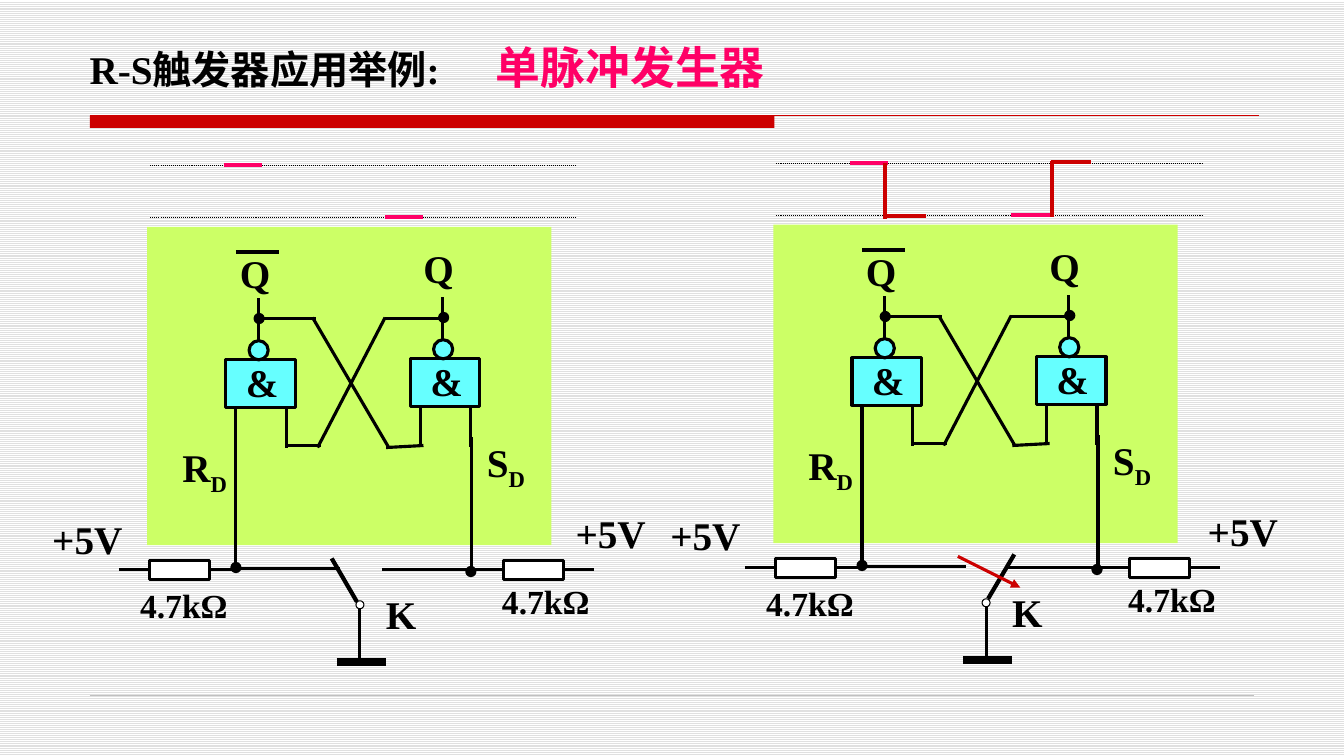
from dataclasses import dataclass
from typing import Any

from lxml import etree
from pptx import Presentation
from pptx.dml.color import RGBColor
from pptx.enum.dml import MSO_LINE, MSO_PATTERN
from pptx.enum.shapes import MSO_CONNECTOR, MSO_SHAPE
from pptx.oxml.ns import qn
from pptx.util import Emu, Pt

STRAIGHT = MSO_CONNECTOR.STRAIGHT
RECT = MSO_SHAPE.RECTANGLE
OVAL = MSO_SHAPE.OVAL
DOTTED = MSO_LINE.ROUND_DOT
STRIPES = MSO_PATTERN.LIGHT_HORIZONTAL

BLACK = RGBColor(0x00, 0x00, 0x00)
WHITE = RGBColor(0xFF, 0xFF, 0xFF)
STRIPE_GREY = RGBColor(0xE0, 0xE0, 0xE0)
RULE_GREY = RGBColor(0xC0, 0xC0, 0xC0)
RED = RGBColor(0xCC, 0x00, 0x00)
PINK = RGBColor(0xFF, 0x00, 0x66)
GREEN = RGBColor(0xCC, 0xFF, 0x66)
CYAN = RGBColor(0x66, 0xFF, 0xFF)

FONT = "Times New Roman"
DOT = 8  # diameter of junctions and of the switch pivot
LOW, HIGH = -9, -61  # signal levels above the circuit panel


def px(n):
    """100 px to the inch."""
    return Emu(n * 9144)


@dataclass
class Region:
    """Draws on a slide relative to the corner (left, top)."""
    slide: Any
    left: int = 0
    top: int = 0

    def at(self, x, y):
        return px(self.left + x), px(self.top + y)

    def line(self, x1, y1, x2, y2, color=BLACK, width=2.25):
        line = self.slide.shapes.add_connector(
            STRAIGHT, *self.at(x1, y1), *self.at(x2, y2))
        line.line.color.rgb = color
        line.line.width = Pt(width)
        etree.SubElement(line._element.spPr, qn("a:effectLst"))
        return line

    def shape(self, kind, x, y, w, h, fill, outline=2.25):
        shape = self.slide.shapes.add_shape(kind, *self.at(x, y), px(w), px(h))
        shape.shadow.inherit = False
        shape.fill.solid()
        shape.fill.fore_color.rgb = fill
        if outline:
            shape.line.color.rgb = BLACK
            shape.line.width = Pt(outline)
        else:
            shape.line.fill.background()

    def dot(self, x, y, fill=BLACK, outline=2.25):
        self.shape(OVAL, x, y, DOT, DOT, fill, outline)

    def label(self, text, x, y, w, h=57, size=28, subscript=None):
        box = self.slide.shapes.add_textbox(*self.at(x, y), px(w), px(h))
        box.text_frame.word_wrap = True
        paragraph = box.text_frame.paragraphs[0]
        paragraph.font.name = FONT
        paragraph.font.size = Pt(size)
        paragraph.font.bold = True
        paragraph.font.color.rgb = BLACK
        paragraph.add_run().text = text
        if subscript:
            sub = paragraph.add_run()
            sub.text = subscript
            sub.font._element.set("baseline", "-25000")


def draw_frame(slide):
    page = Region(slide)
    background = slide.background.fill
    background.patterned()
    background.pattern = STRIPES
    background.fore_color.rgb = STRIPE_GREY
    background.back_color.rgb = WHITE

    # Heading rule and footer rule
    page.shape(RECT, 89, 115, 679, 12, RED, outline=0)
    page.line(89, 115, 1249, 115, RED, 0.75)
    page.line(89, 690, 1244, 690, RULE_GREY, 0.25)


def draw_title(slide, x, y, w, h):
    box = slide.shapes.add_textbox(px(x), px(y), px(w), px(h))
    box.text_frame.word_wrap = True
    title = box.text_frame.paragraphs[0]
    tabs = etree.SubElement(title._p.get_or_add_pPr(), qn("a:tabLst"))
    etree.SubElement(tabs, qn("a:tab"), pos=str(px(403)), algn="l")
    title.font.name = FONT
    title.font.bold = True
    for text, size, color in (("R-S触发器应用举例:\t", 28, BLACK),
                              ("单脉冲发生器", 32, PINK)):
        run = title.add_run()
        run.text = text
        run.font.size = Pt(size)
        run.font.color.rgb = color


def draw_gate(slide, left, top):
    gate = Region(slide, left, top)
    gate.shape(RECT, 0, 0, 69, 47, CYAN)
    gate.line(32, -20, 32, -61)
    gate.shape(OVAL, 23, -19, 19, 19, CYAN)
    gate.dot(29, -45)
    for input_x in (10, 60):
        gate.line(input_x, 47, input_x, 87)
    gate.label("&", 10, -6, 51)


def draw_resistor(slide, left, top):
    resistor = Region(slide, left, top)
    resistor.shape(RECT, 0, 0, 60, 19, WHITE)
    for lead_x in (-30, 60):
        resistor.line(lead_x, 9, lead_x + 30, 9)


def draw_circuit(slide, left, top, supplies):
    circuit = Region(slide, left, top)
    circuit.shape(RECT, 0, 0, 401, 316, GREEN, outline=0)

    # Gates and their cross coupling
    draw_gate(slide, left + 78, top + 132)
    draw_gate(slide, left + 261, top + 131)
    for wire in ((110, 91, 167, 91), (164, 90, 239, 218), (237, 219, 274, 217),
                 (292, 91, 236, 91), (236, 90, 169, 219), (172, 217, 139, 217)):
        circuit.line(*wire)

    # Outputs and inputs
    circuit.line(88, 25, 131, 25)
    circuit.label("Q", 82, 17, 68)
    circuit.label("Q", 264, 12, 68)
    circuit.label("R", 25, 210, 85, subscript="D")
    circuit.label("S", 327, 205, 85, subscript="D")
    circuit.line(88, 215, 88, 339)
    circuit.line(322, 209, 322, 342)

    # Switch contacts, pull-up resistors and supplies
    circuit.line(88, 339, 191, 339)
    circuit.line(233, 340, 321, 340)
    draw_resistor(slide, left + 2, top + 331)
    draw_resistor(slide, left + 353, top + 331)
    circuit.dot(84, 334)
    circuit.dot(317, 338)
    circuit.label("4.7kΩ", -17, 350, 122, 50, 24)
    circuit.label("4.7kΩ", 342, 346, 122, 50, 24)
    for x, y in supplies:
        circuit.label("+5V", x, y, 96)

    # Switch pivot and ground
    circuit.dot(207, 371, WHITE, 0.75)
    circuit.line(211, 379, 211, 432)
    circuit.line(188, 432, 237, 432, width=6)
    circuit.label("K", 227, 356, 60)

    # Signal levels before switching
    for level in (HIGH, LOW):
        circuit.line(3, level, 425, level, width=0.75).line.dash_style = DOTTED
    circuit.line(76, HIGH, 114, HIGH, PINK, 3)
    circuit.line(236, LOW - 1, 274, LOW - 1, PINK, 3)
    return circuit


def draw_rest_state(slide, left, top):
    circuit = draw_circuit(slide, left, top, ((-104, 281), (415, 275)))
    circuit.line(208, 372, 183, 329, width=3)


def draw_switched_state(slide, left, top):
    circuit = draw_circuit(slide, left, top, ((-112, 279), (421, 275)))

    # Falling and rising edges
    for edge in ((111, HIGH, 111, LOW + 3), (112, LOW, 151, LOW),
                 (276, HIGH - 2, 276, LOW + 1), (275, HIGH - 1, 315, HIGH - 1)):
        circuit.line(*edge, RED, 3)

    # Switch arm and its motion
    circuit.line(213, 371, 239, 327, width=3)
    motion = circuit.line(183, 329, 245, 360, RED)
    etree.SubElement(motion.line._get_or_add_ln(), qn("a:tailEnd"), type="triangle")


def main():
    deck = Presentation()
    deck.slide_width, deck.slide_height = px(1333), px(750)
    slide = deck.slides.add_slide(deck.slide_layouts[6])
    draw_frame(slide)
    draw_title(slide, 79, 34, 736, 63)
    draw_rest_state(slide, 146, 225)
    draw_switched_state(slide, 767, 223)
    deck.save("out.pptx")


if __name__ == "__main__":
    main()
